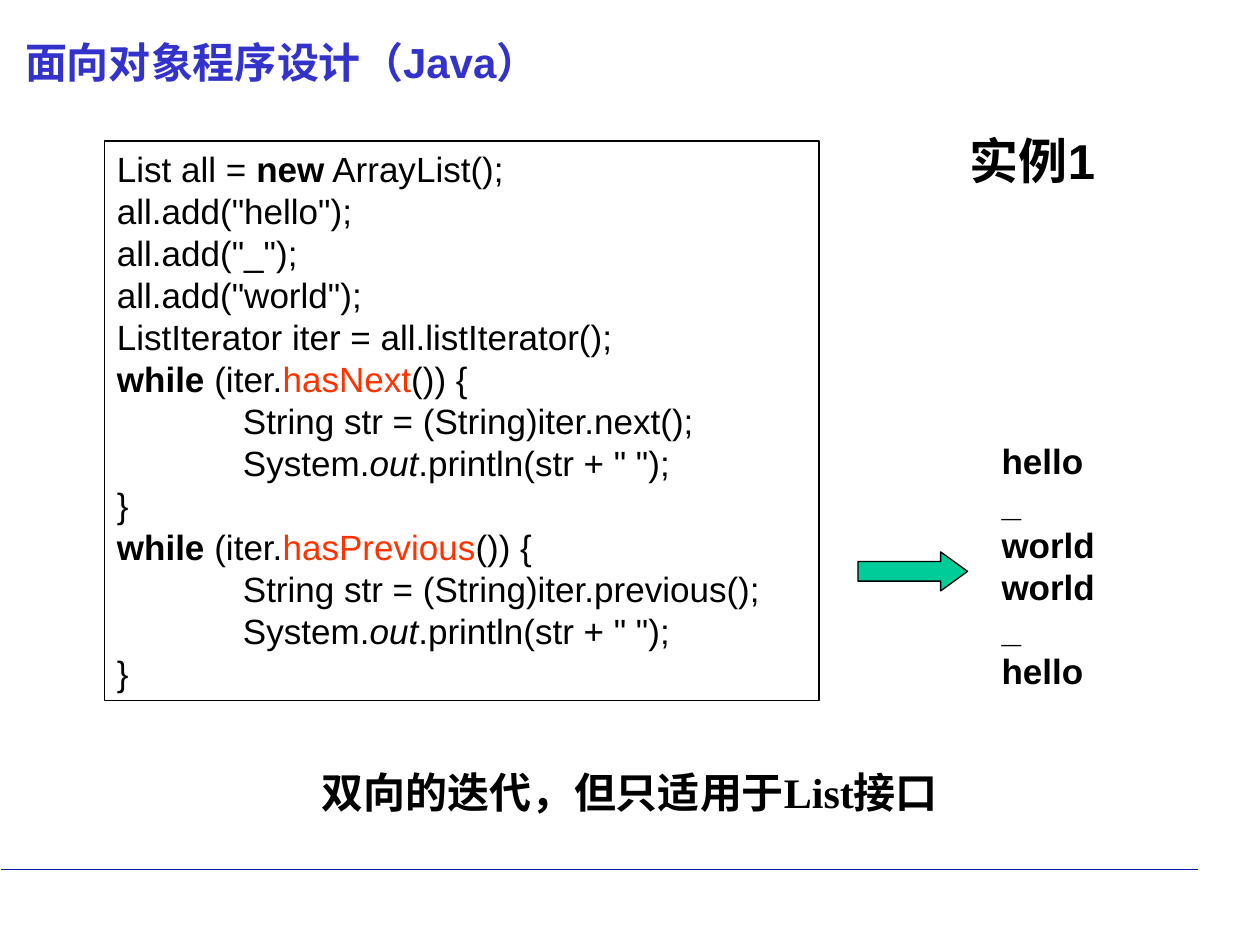
from lxml import etree
from pptx import Presentation
from pptx import util as u
from pptx.dml.color import RGBColor
from pptx.enum import shapes, text
from pptx.oxml.ns import qn

# The slide is a grid of 100 columns by 75 rows of square cells.
COLUMNS, ROWS = 100, 75
CELL = u.Inches(0.1)

BLACK = RGBColor(0x00, 0x00, 0x00)
TITLE_BLUE = RGBColor(0x33, 0x33, 0xCC)
RULE_BLUE = RGBColor(0x06, 0x1A, 0xAA)
KEY_RED = RGBColor(0xFF, 0x33, 0x00)
ARROW_GREEN = RGBColor(0x00, 0xCC, 0x99)

SANS, SERIF, CJK = "Arial", "Times New Roman", "Noto Sans CJK SC"

BOLD, ITALIC, KEY = {"bold": True}, {"italic": True}, {"color": KEY_RED}


def loop_lines(test, step):
    """The code lines of one while loop that walks the list."""
    return [
        [("while", BOLD), (" (iter.", {}), (test, KEY), ("()) {", {})],
        [(f"\tString str = (String)iter.{step}();", {})],
        [("\tSystem.", {}), ("out", ITALIC), ('.println(str + " ");', {})],
        [("}", {})],
    ]


CODE = [
    [("List all = ", {}), ("new", BOLD), (" ArrayList();", {})],
    *[[(f'all.add("{word}");', {})] for word in ("hello", "_", "world")],
    [("ListIterator iter = all.listIterator();", {})],
    *loop_lines("hasNext", "next"),
    *loop_lines("hasPrevious", "previous"),
]
OUTPUT = ["hello", "_", "world", "world", "_", "hello"]


def cells(*counts):
    return [round(count * CELL) for count in counts]


def add_run(paragraph, words, size, font=SANS, color=BLACK, bold=False, italic=False):
    run = paragraph.add_run()
    run.text = words
    run.font.size = u.Pt(size)
    run.font.bold = bold
    run.font.italic = italic
    run.font.color.rgb = color
    run.font.name = font
    east_asian = etree.SubElement(run.font._element, qn("a:ea"))
    east_asian.set("typeface", CJK)


def add_tab_stop(paragraph, position):
    tabs = etree.SubElement(paragraph._p.get_or_add_pPr(), qn("a:tabLst"))
    etree.SubElement(tabs, qn("a:tab"), pos=str(position), algn="l")


def fill_text(shape, lines, size, align=text.PP_ALIGN.LEFT,
              anchor=text.MSO_ANCHOR.TOP, wrap=True, tab=None):
    """Write lines, each a list of (words, style) runs, into a shape."""
    frame = shape.text_frame
    frame.word_wrap = wrap
    frame.vertical_anchor = anchor
    for index, line in enumerate(lines):
        paragraph = frame.add_paragraph() if index else frame.paragraphs[0]
        paragraph.alignment = align
        if tab:
            add_tab_stop(paragraph, tab)
        for words, style in line:
            add_run(paragraph, words, size, **style)


def add_title(slide, box):
    fill_text(slide.shapes.add_textbox(*box),
              [[("面向对象程序设计（Java）", {"color": TITLE_BLUE, "bold": True})]], 24)


def add_footer_rule(slide, left, top, width):
    line = slide.shapes.add_connector(
        shapes.MSO_CONNECTOR.STRAIGHT, left, top, left + width, top)
    line.line.color.rgb = RULE_BLUE
    line.line.width = u.Pt(1)
    etree.SubElement(line._element.spPr, qn("a:effectLst"))


def add_outlined_shape(slide, kind, box):
    shape = slide.shapes.add_shape(kind, *box)
    shape.shadow.inherit = False
    shape.fill.background()
    shape.line.color.rgb = BLACK
    shape.line.width = u.Pt(0.75)
    return shape


def add_code(slide, box):
    panel = add_outlined_shape(slide, shapes.MSO_SHAPE.RECTANGLE, box)
    fill_text(panel, CODE, 20, tab=10 * CELL)


def add_output(slide, box):
    fill_text(slide.shapes.add_textbox(*box),
              [[(word, BOLD)] for word in OUTPUT], 20, wrap=False)


def add_arrow(slide, box):
    arrow = add_outlined_shape(slide, shapes.MSO_SHAPE.RIGHT_ARROW, box)
    arrow.adjustments[0] = 0.5
    arrow.adjustments[1] = 0.69
    arrow.fill.solid()
    arrow.fill.fore_color.rgb = ARROW_GREEN


def add_conclusion(slide, box):
    chinese = {"font": CJK, "bold": True}
    line = [("双向的迭代，但只适用于", chinese),
            ("List", {"font": SERIF, "bold": True}), ("接口", chinese)]
    fill_text(slide.shapes.add_textbox(*box), [line], 24,
              align=text.PP_ALIGN.CENTER, anchor=text.MSO_ANCHOR.MIDDLE)


def add_example_label(slide, box):
    fill_text(slide.shapes.add_textbox(*box), [[("实例1", BOLD)]], 28, wrap=False)


def main():
    presentation = Presentation()
    presentation.slide_width, presentation.slide_height = cells(COLUMNS, ROWS)
    slide = presentation.slides.add_slide(presentation.slide_layouts[6])

    add_footer_rule(slide, *cells(0.1, 69, 95))
    add_title(slide, cells(1, 2.4, 92.2, 4))
    add_code(slide, cells(8.3, 11.2, 56.7, 44.4))
    add_output(slide, cells(78.5, 34.4, 10.1, 21))
    add_arrow(slide, cells(68.1, 43.8, 8.7, 3.1))
    add_conclusion(slide, cells(12.2, 60.3, 75.6, 5))
    add_example_label(slide, cells(76, 9.9, 13.6, 5.7))

    presentation.save("out.pptx")


if __name__ == "__main__":
    main()
